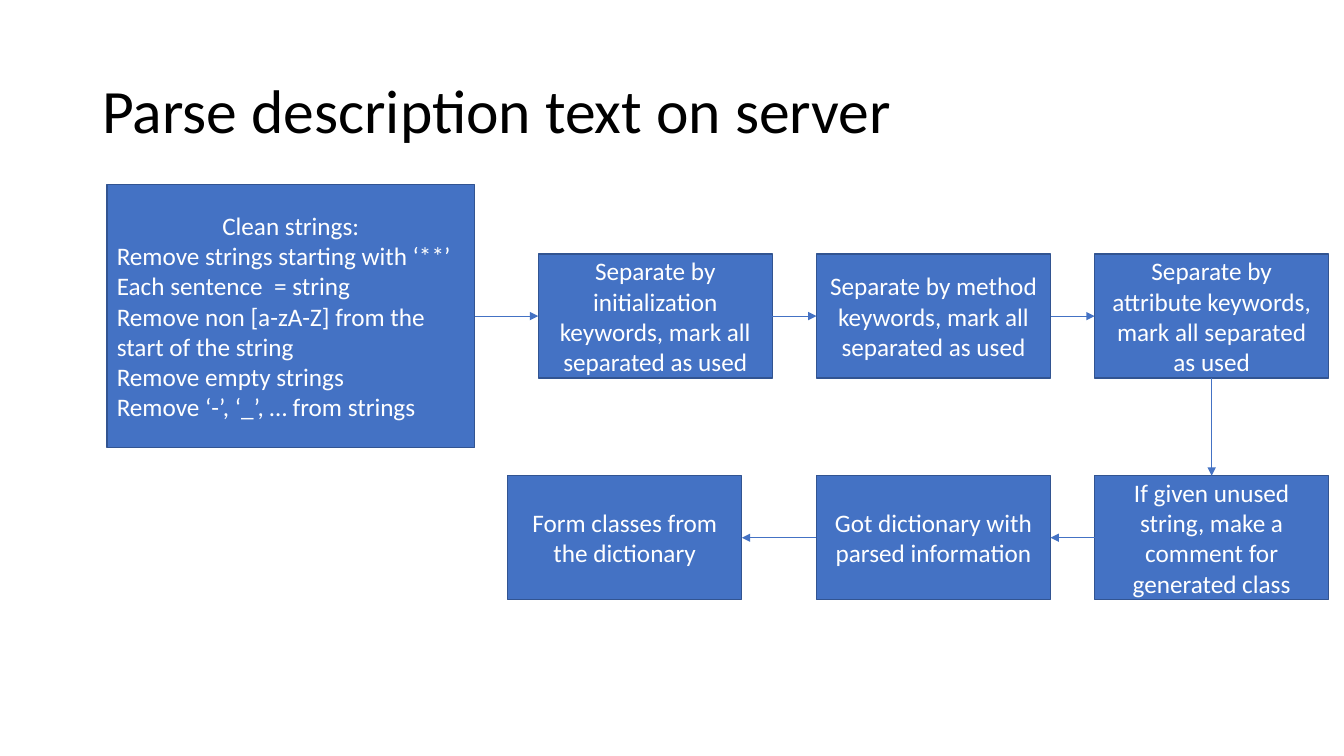
import pptx
import pptx.dml.color
import pptx.enum.shapes
import pptx.enum.text
import pptx.oxml
import pptx.oxml.ns
import pptx.util

Pt = pptx.util.Pt
ALIGN = pptx.enum.text.PP_ALIGN
MIDDLE = pptx.enum.text.MSO_ANCHOR.MIDDLE
BLACK = pptx.dml.color.RGBColor(0x00, 0x00, 0x00)
WHITE = pptx.dml.color.RGBColor(0xFF, 0xFF, 0xFF)
BLUE = pptx.dml.color.RGBColor(0x44, 0x72, 0xC4)
DARK_BLUE = pptx.dml.color.RGBColor(0x32, 0x54, 0x91)
TOP, LEFT, BOTTOM, RIGHT = range(4)


def write(tf, lines, size=18, color=WHITE, first=ALIGN.CENTER, spacing=1.0):
    """Fill a text frame; `first` aligns the first line, the rest are left-aligned."""
    tf.word_wrap = True
    tf.vertical_anchor = MIDDLE
    for i, line in enumerate(lines):
        p = tf.paragraphs[0] if i == 0 else tf.add_paragraph()
        p.alignment = ALIGN.LEFT if i else first
        p.line_spacing = spacing
        r = p.add_run()
        r.text = line
        r.font.name = "Calibri"
        r.font.size = Pt(size)
        r.font.color.rgb = color


prs = pptx.Presentation()
prs.slide_width, prs.slide_height = Pt(960), Pt(540)
s = prs.slides.add_slide(prs.slide_layouts[5])

title = s.shapes.title
title.left, title.top, title.width, title.height = Pt(66), Pt(28.75), Pt(828), Pt(104.4)
write(title.text_frame, ["Parse description text on server"],
      size=44, color=BLACK, first=ALIGN.LEFT, spacing=0.9)

# Boxes in flow order: left, top, width, height, lines
STEP_W, STEP_H = 167.2, 88.6
COL_2, COL_3 = 583.2, 781.9
ROW_1, ROW_2 = 181.5, 339.8
steps = [
    (76.3, 131.8, 262.8, 188, [
        "Clean strings:",
        "Remove strings starting with ‘**’",
        "Each sentence  = string",
        "Remove non [a-zA-Z] from the start of the string",
        "Remove empty strings",
        "Remove ‘-’, ‘_’, … from strings",
    ]),
    (384.5, ROW_1, STEP_W, STEP_H,
     ["Separate by initialization keywords, mark all separated as used"]),
    (COL_2, ROW_1, STEP_W, STEP_H,
     ["Separate by method keywords, mark all separated as used"]),
    (COL_3, ROW_1, STEP_W, STEP_H,
     ["Separate by attribute keywords, mark all separated as used"]),
    (COL_3, ROW_2, STEP_W, STEP_H,
     ["If given unused string, make a comment for generated class"]),
    (COL_2, ROW_2, STEP_W, STEP_H, ["Got dictionary with parsed information"]),
    (362.7, ROW_2, STEP_W, STEP_H, ["Form classes from the dictionary"]),
]
boxes = []
for x, y, w, h, lines in steps:
    sp = s.shapes.add_shape(pptx.enum.shapes.MSO_SHAPE.RECTANGLE, Pt(x), Pt(y), Pt(w), Pt(h))
    sp.shadow.inherit = False
    sp.fill.solid()
    sp.fill.fore_color.rgb = BLUE
    sp.line.color.rgb = DARK_BLUE
    sp.line.width = Pt(1)
    write(sp.text_frame, lines)
    boxes.append(sp)

# One arrow from each box to the next
sides = [(RIGHT, LEFT)] * 3 + [(BOTTOM, TOP)] + [(LEFT, RIGHT)] * 2
for start, end, (start_side, end_side) in zip(boxes, boxes[1:], sides):
    arrow = s.shapes.add_connector(pptx.enum.shapes.MSO_CONNECTOR.STRAIGHT, 0, 0, 0, 0)
    arrow.begin_connect(start, start_side)
    arrow.end_connect(end, end_side)
    arrow.line.color.rgb = BLUE
    arrow.line.width = Pt(0.5)
    ln = arrow.line._get_or_add_ln()
    tail = pptx.oxml.parse_xml(
        '<a:tailEnd %s type="triangle"/>' % pptx.oxml.ns.nsdecls("a"))
    ln.append(tail)
    ln.addnext(pptx.oxml.parse_xml("<a:effectLst %s/>" % pptx.oxml.ns.nsdecls("a")))

prs.save("out.pptx")
